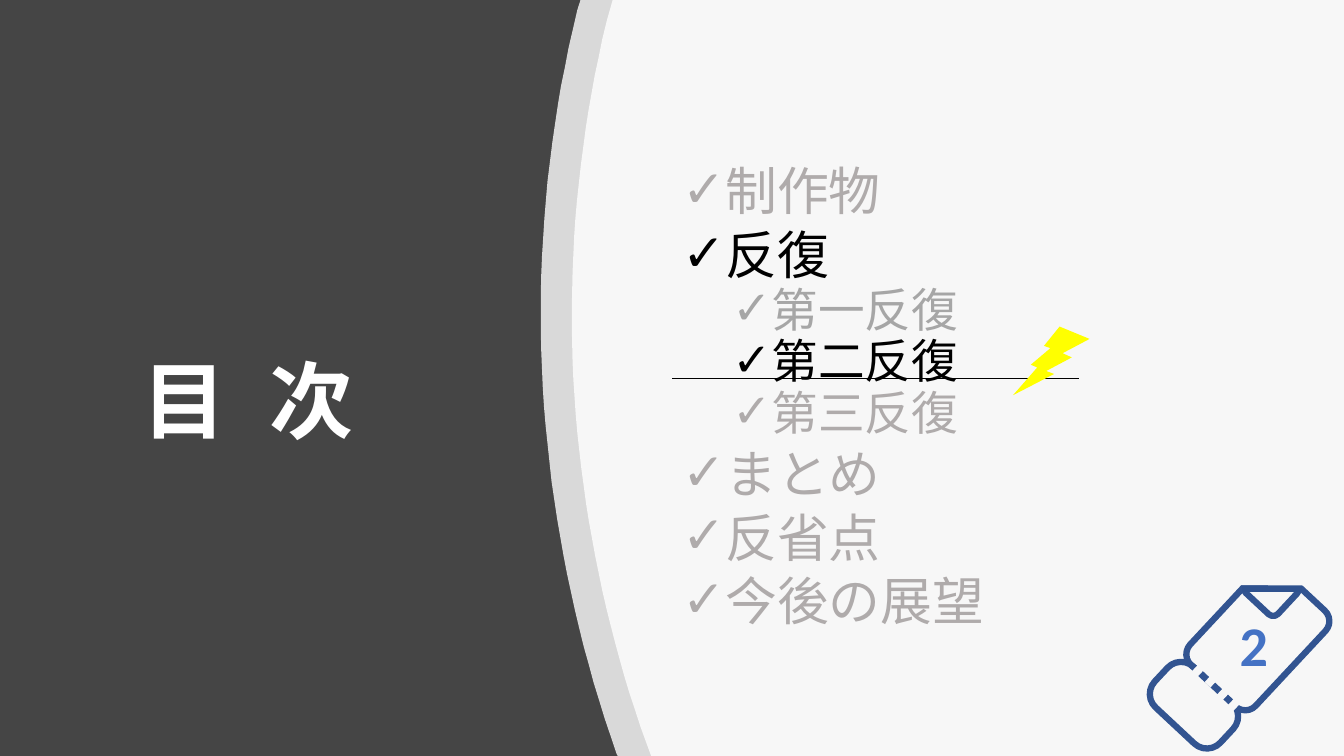
from dataclasses import dataclass

from lxml import etree
from pptx import Presentation
from pptx.dml.color import RGBColor
from pptx.enum.shapes import MSO_CONNECTOR, MSO_SHAPE
from pptx.enum.text import MSO_ANCHOR, PP_ALIGN
from pptx.oxml.ns import qn
from pptx.util import Cm, Pt

ROUND_RECT = MSO_SHAPE.ROUNDED_RECTANGLE
RECT = MSO_SHAPE.RECTANGLE
BOLT = MSO_SHAPE.LIGHTNING_BOLT
STRAIGHT = MSO_CONNECTOR.STRAIGHT
MIDDLE = MSO_ANCHOR.MIDDLE
CENTER = PP_ALIGN.CENTER


@dataclass(frozen=True)
class Theme:
    dark: str = "454545"
    white: str = "FFFFFF"
    paper: str = "F7F7F7"
    active: str = "000000"
    muted: str = "AFABAB"
    muted_first: str = "A6A6A6"
    ticket: str = "325491"
    ticket_edge: str = "2F528F"
    number: str = "4472C4"
    bolt: str = "FFFF00"
    font: str = "Arial"
    number_font: str = "Calibri"
    title_size: float = 60
    chapter_size: float = 37
    section_size: float = 33.3
    number_size: float = 40


theme = Theme()

prs = Presentation()
prs.slide_width, prs.slide_height = Cm(33.87), Cm(19.05)
slide = prs.slides.add_slide(prs.slide_layouts[6])
slide.background.fill.solid()
slide.background.fill.fore_color.rgb = RGBColor.from_string(theme.dark)


def add_run(paragraph, text, size, color, font=theme.font, bold=False):
    run = paragraph.add_run()
    run.text = text
    run.font.size = Pt(size)
    run.font.name = font
    run.font.bold = bold
    run.font.color.rgb = RGBColor.from_string(color)
    return run


def paint(shape, fill=None, line=None, width=4.5):
    shape.shadow.inherit = False
    if fill:
        shape.fill.solid()
        shape.fill.fore_color.rgb = RGBColor.from_string(fill)
    else:
        shape.fill.background()
    if line:
        shape.line.color.rgb = RGBColor.from_string(line)
        shape.line.width = Pt(width)
    else:
        shape.line.fill.background()


# Two translucent curved panels: corner, curve start, two controls, curve end
panels = [
    ((15.57, 19.05), (15.54, 19), (13.46, 13.06), (13, 6.6), (14.55, 0.25), (14.63, 0)),
    ((16.41, 19.05), (16.15, 18.34), (14.22, 12.67), (13.84, 6.55), (15.29, 0.53), (15.44, 0)),
]
CURVE_STEPS = 40
for bottom, start, control_1, control_2, end, top in panels:
    outline = [(33.87, 0), (33.87, 19.05), bottom]
    for step in range(CURVE_STEPS + 1):
        t = step / CURVE_STEPS
        weights = ((1 - t) ** 3, 3 * t * (1 - t) ** 2, 3 * t**2 * (1 - t), t**3)
        knots = (start, control_1, control_2, end)
        outline.append(tuple(sum(w * k[axis] for w, k in zip(weights, knots)) for axis in (0, 1)))
    points = [(x * 100, y * 100) for x, y in outline]
    builder = slide.shapes.build_freeform(top[0] * 100, top[1] * 100, scale=Cm(0.01))
    builder.add_line_segments(points, close=True)
    panel = builder.convert_to_shape()
    paint(panel, theme.white)
    color = panel.fill._xPr.find(".//" + qn("a:srgbClr"))
    etree.SubElement(color, qn("a:alpha"), val="80000")

# Contents list: text, level, colour
contents = [
    ("制作物", 0, theme.muted),
    ("反復", 0, theme.active),
    ("第一反復", 1, theme.muted_first),
    ("第二反復", 1, theme.active),
    ("第三反復", 1, theme.muted),
    ("まとめ", 0, theme.muted),
    ("反省点", 0, theme.muted),
    ("今後の展望", 0, theme.muted),
]
agenda = slide.shapes.add_textbox(Cm(16.94), Cm(3.89), Cm(15.29), Cm(12.42)).text_frame
agenda.word_wrap = True
agenda.vertical_anchor = MIDDLE
for index, (text, level, color) in enumerate(contents):
    item = agenda.paragraphs[0] if index == 0 else agenda.add_paragraph()
    item.level = level
    item.line_spacing = 0.8
    item.space_before = Pt(5 if level else 10)
    props = item._p.get_or_add_pPr()
    props.set("marL", str(Cm(1.91 if level else 0.64)))
    props.set("indent", str(-Cm(0.64)))
    etree.SubElement(props, qn("a:buFont"), typeface=theme.font)
    etree.SubElement(props, qn("a:buChar"), char="✓")
    add_run(item, text, theme.section_size if level else theme.chapter_size, color)

# Ticket: stub, body and folded notch
ticket = slide.shapes.add_group_shape().shapes
TILT = 313
for left, top, width, height, corner in [
    (29.39, 16.64, 1.4, 2.26, 0.33),
    (30.05, 14.94, 3.3, 2.26, 0.16),
    (31.52, 14.27, 1.04, 1.12, 0.16),
]:
    piece = ticket.add_shape(ROUND_RECT, Cm(left), Cm(top), Cm(width), Cm(height))
    piece.adjustments[0] = corner
    piece.rotation = TILT
    paint(piece, line=theme.ticket)

# Lines: top edge of the ticket, rule under the current section
for owner, left, right, y, color, width in [
    (ticket, 31.29, 32.82, 14.83, theme.ticket_edge, 4.5),
    (slide.shapes, 16.94, 27.18, 9.53, theme.active, 1),
]:
    rule = owner.add_connector(STRAIGHT, Cm(left), Cm(y), Cm(right), Cm(y))
    rule.line.color.rgb = RGBColor.from_string(color)
    rule.line.width = Pt(width)
    etree.SubElement(rule._element.spPr, qn("a:effectLst"))

# Cover above the ticket edge, then the gaps of the perforation
covers = [(31.24, 13.94, 1.83, 0.81, 0.2)]
covers += [
    (left, top, 0.51, 0.2, TILT)
    for left, top in [(29.97, 16.76), (30.35, 16.97), (30.63, 17.32), (30.91, 17.58)]
]
for left, top, width, height, angle in covers:
    cover = ticket.add_shape(RECT, Cm(left), Cm(top), Cm(width), Cm(height))
    cover.rotation = angle
    paint(cover, theme.paper)

# Page number on the ticket
page = slide.shapes.add_textbox(Cm(30.58), Cm(15.27), Cm(2.03), Cm(1.96)).text_frame
page.word_wrap = True
page.paragraphs[0].alignment = CENTER
add_run(page.paragraphs[0], "2", theme.number_size, theme.number, theme.number_font, True)

# Lightning bolt beside the current section
bolt = slide.shapes.add_shape(BOLT, Cm(25.53), Cm(8.23), Cm(1.93), Cm(1.73))
bolt._element.spPr.find(qn("a:xfrm")).set("flipH", "1")
paint(bolt, theme.bolt)

# Title, with the single space widened by character spacing
title = slide.shapes.add_textbox(Cm(3.35), Cm(4.14), Cm(6.45), Cm(12.17)).text_frame
title.word_wrap = True
title.vertical_anchor = MIDDLE
heading = title.paragraphs[0]
heading.line_spacing = 0.9
for text in ("目", " ", "次"):
    part = add_run(heading, text, theme.title_size, theme.white, bold=True)
    if text == " ":
        part._r.get_or_add_rPr().set("spc", "1670")

prs.save("out.pptx")
